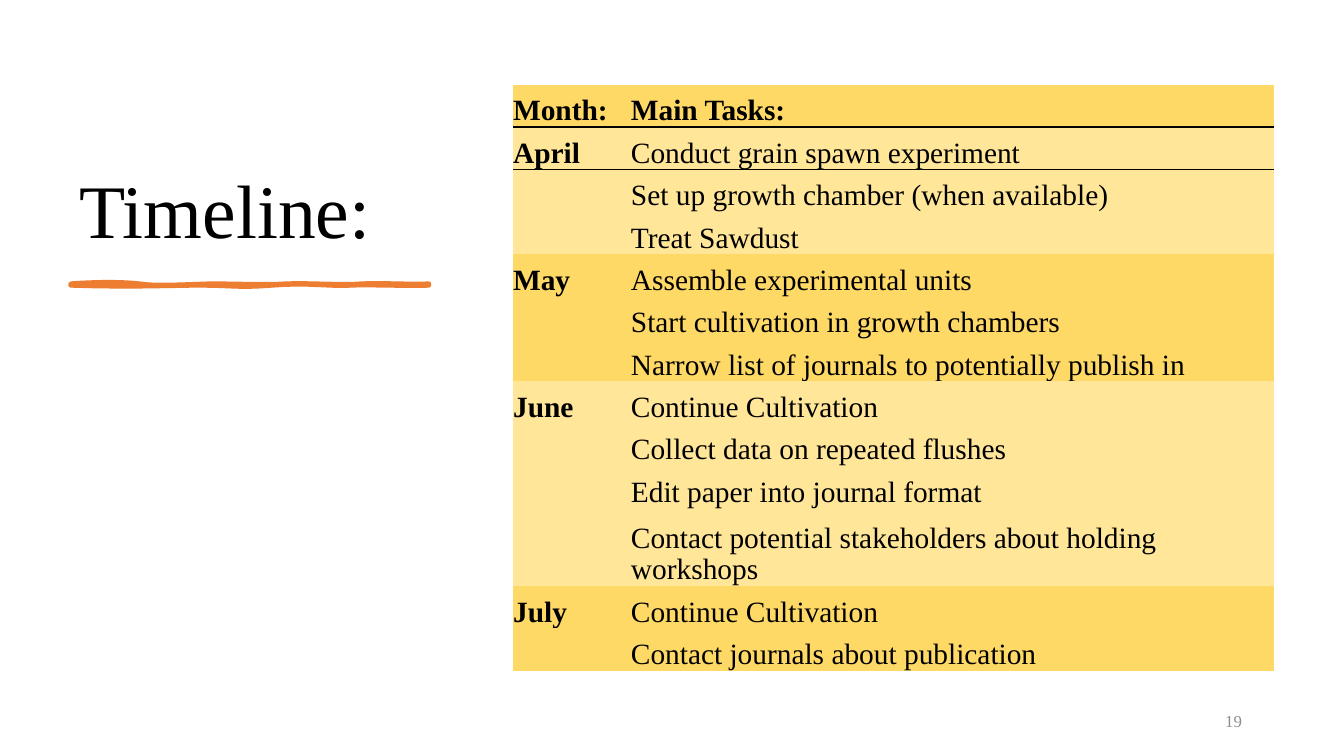
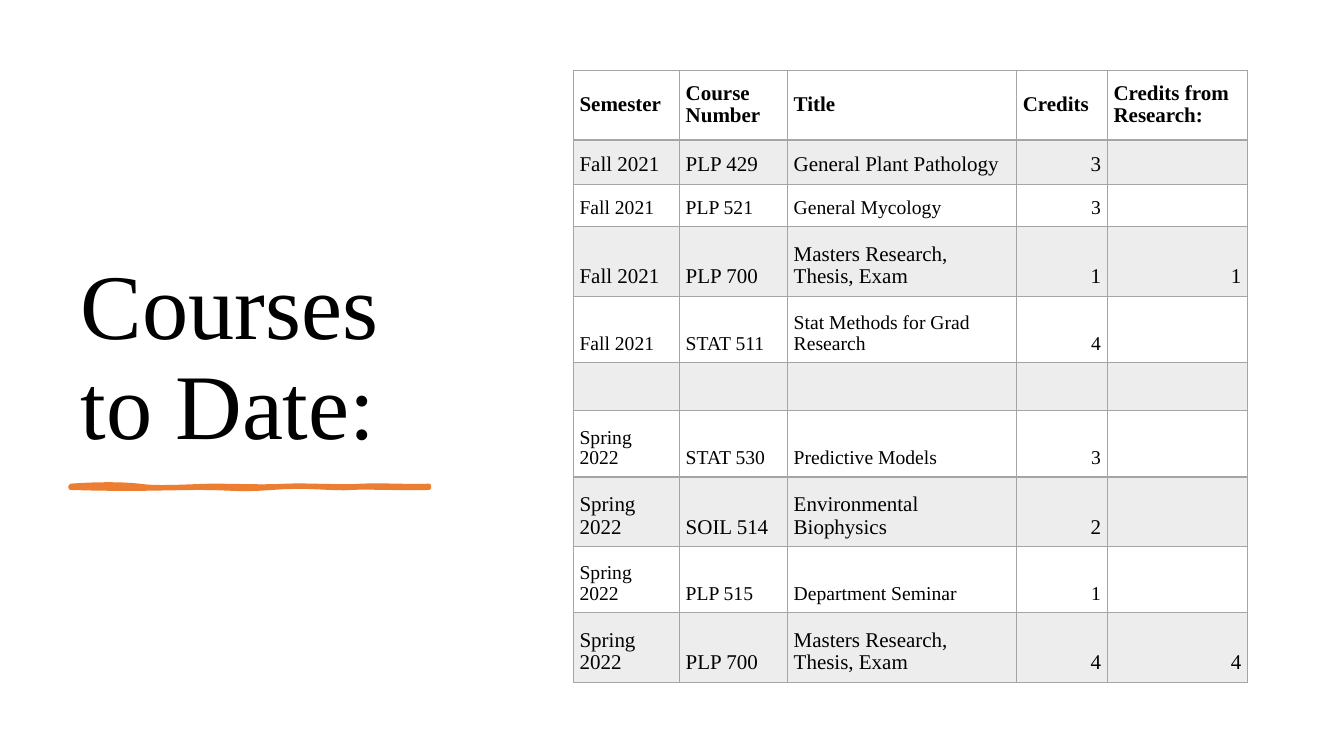
from pptx import Presentation
from pptx.dml.color import RGBColor
from pptx.enum.text import MSO_ANCHOR as Anchor, PP_ALIGN as Align
from pptx.oxml import parse_xml
from pptx.oxml.ns import nsdecls
from pptx.util import Pt

FONT = "Times New Roman"
BLACK, GREY, ORANGE = "000000", "A5A5A5", "ED7D31"
GOLD, PALE_GOLD, PALE_GREY, WHITE = "FFD966", "FFE699", "EDEDED", "FFFFFF"
NO_STYLE = "{2D5ABB26-0587-4C30-8999-92F81FD0307C}"
color = RGBColor.from_string


def write(frame, text, size, ink=BLACK, bold=False, align=Align.LEFT,
          anchor=Anchor.BOTTOM, spacing=1.0):
    frame.word_wrap = True
    frame.vertical_anchor = anchor
    para = frame.paragraphs[0]
    para.alignment = align
    para.line_spacing = spacing
    if not text:
        para._p.get_or_add_endParaRPr().set("sz", str(size * 100))
        return
    span = para.add_run()
    span.text = text
    span.font.name = FONT
    span.font.size = Pt(size)
    span.font.bold = bold
    span.font.color.rgb = color(ink)


def add_border(cell, side, hue, width):
    cell._tc.get_or_add_tcPr().append(parse_xml(
        f'<a:ln{side} {nsdecls("a")} w="{Pt(width)}"><a:solidFill>'
        f'<a:srgbClr val="{hue}"/></a:solidFill></a:ln{side}>'))


brush_curves = [
    ((19, -1.4), (37, -1.4), (49, 0)),
    ((61, 1.8), (77, 0.7), (100, 0)),
    ((123, 0), (137, 1), (154, 0)),
    ((171, -0.7), (194, 1.2), (208, 0)),
    ((222, -0.7), (246, 0.7), (256, 0)),
    ((256, 0.5), (256, 1), (256, 1.5)),
    ((243, 2.2), (212, 0.8), (200, 1.5)),
    ((189, 2.6), (168, -0.7), (144, 1.5)),
    ((119, 3.4), (116, 1.5), (93, 1.5)),
    ((69, 1.5), (45, 3), (0, 1.5)),
]
brush_points = [(0, 0)]
for first, second, end in brush_curves:
    start = brush_points[-1]
    for step in range(1, 9):
        t = step / 8
        brush_points.append(tuple(
            (1 - t) ** 3 * a + 3 * (1 - t) ** 2 * t * b + 3 * (1 - t) * t ** 2 * c + t ** 3 * d
            for a, b, c, d in zip(start, first, second, end)))

months = [
    ("April", ["Conduct grain spawn experiment",
               "Set up growth chamber (when available)",
               "Treat Sawdust"]),
    ("May", ["Assemble experimental units",
             "Start cultivation in growth chambers",
             "Narrow list of journals to potentially publish in"]),
    ("June", ["Continue Cultivation",
              "Collect data on repeated flushes",
              "Edit paper into journal format",
              "Contact potential stakeholders about holding workshops"]),
    ("July", ["Continue Cultivation",
              "Contact journals about publication"]),
]
timeline_rows = [("Month:", "Main Tasks:")]
timeline_fills = [GOLD]
for index, (month, tasks) in enumerate(months):
    for number, task in enumerate(tasks):
        timeline_rows.append(("" if number else month, task))
        timeline_fills.append(GOLD if index % 2 else PALE_GOLD)

course_rows = [
    ("Semester", "Course Number", "Title", "Credits", "Credits from Research:"),
    ("Fall 2021", "PLP 429", "General Plant Pathology", "3", ""),
    ("Fall 2021", "PLP 521", "General Mycology", "3", ""),
    ("Fall 2021", "PLP 700", "Masters Research, Thesis, Exam", "1", "1"),
    ("Fall 2021", "STAT 511", "Stat Methods for Grad Research", "4", ""),
    ("", "", "", "", ""),
    ("Spring 2022", "STAT 530", "Predictive Models", "3", ""),
    ("Spring 2022", "SOIL 514", "Environmental Biophysics", "2", ""),
    ("Spring 2022", "PLP 515", "Department Seminar", "1", ""),
    ("Spring 2022", "PLP 700", "Masters Research, Thesis, Exam", "4", "4"),
]

pages = [
    dict(title="Timeline:", title_size=54, title_area=(49.7, 50.4, 270, 135.4),
         brush_top=202.5, number="19", rows=timeline_rows, fills=timeline_fills,
         origin=(366.5, 60.5), widths=[84.2, 459.4],
         heights=[30.3] * 10 + [55.4] + [30.3] * 2, sizes=[21] * 13,
         margins=(0, 0), header_anchor=Anchor.BOTTOM, bold_columns=1, grid=False),
    dict(title="Courses to Date:", title_size=66, title_area=(50.4, 50.4, 281.5, 281.5),
         brush_top=347, number="", rows=course_rows,
         fills=[WHITE, PALE_GREY] * 5, origin=(409.5, 50.4),
         widths=[75.8, 77.2, 163.6, 64.9, 100.2],
         heights=[49.6, 31.7, 30.3, 49.6, 47.3, 34.7, 47.3, 49.6, 47.3, 49.6],
         sizes=[15, 15, 14, 15, 14, 14, 14, 15, 14, 15],
         margins=(4.5, 5.8), header_anchor=Anchor.MIDDLE, bold_columns=0, grid=True),
]

deck = Presentation()
deck.slide_width, deck.slide_height = Pt(960), Pt(540)

for plan in pages:
    page = deck.slides.add_slide(deck.slide_layouts[6])
    box = page.shapes.add_textbox(*map(Pt, plan["title_area"]))
    write(box.text_frame, plan["title"], plan["title_size"], spacing=0.9)

    outline = [(Pt(50.4 + x), Pt(plan["brush_top"] + y)) for x, y in brush_points]
    builder = page.shapes.build_freeform(*outline[0])
    builder.add_line_segments(outline[1:], close=True)
    brush = builder.convert_to_shape()
    brush.shadow.inherit = False
    brush.fill.solid()
    brush.fill.fore_color.rgb = color(ORANGE)
    brush.line.color.rgb = color(ORANGE)
    brush.line.width = Pt(3)

    if plan["number"]:
        box = page.shapes.add_textbox(Pt(678.2), Pt(500.4), Pt(216), Pt(28.8))
        write(box.text_frame, plan["number"], 12, ink="8C8C8C",
              align=Align.RIGHT, anchor=Anchor.MIDDLE)

    rows, widths, heights = plan["rows"], plan["widths"], plan["heights"]
    table = page.shapes.add_table(
        len(rows), len(widths), *map(Pt, plan["origin"]),
        Pt(sum(widths)), Pt(sum(heights))).table
    table.first_row = table.horz_banding = False
    table._tbl.tblPr[0].text = NO_STYLE
    for column, width in zip(table.columns, widths):
        column.width = Pt(width)
    for r, texts in enumerate(rows):
        table.rows[r].height = Pt(heights[r])
        for c, text in enumerate(texts):
            cell = table.cell(r, c)
            side, end = map(Pt, plan["margins"])
            cell.margin_left = cell.margin_right = side
            cell.margin_top = cell.margin_bottom = end
            write(cell.text_frame, text, plan["sizes"][r],
                  bold=r == 0 or c < plan["bold_columns"],
                  align=Align.RIGHT if text.isdigit() else Align.LEFT, spacing=0.95)
            cell.vertical_anchor = plan["header_anchor"] if r == 0 else Anchor.BOTTOM
            if plan["grid"]:
                for edge in "LRTB":
                    heavy = (r, edge) in ((0, "B"), (1, "T"))
                    add_border(cell, edge, GREY, 2 if heavy else 1)
            elif r < 2:
                add_border(cell, "T" if r else "B", BLACK, 1)
            cell.fill.solid()
            cell.fill.fore_color.rgb = color(plan["fills"][r])

deck.save("out.pptx")
